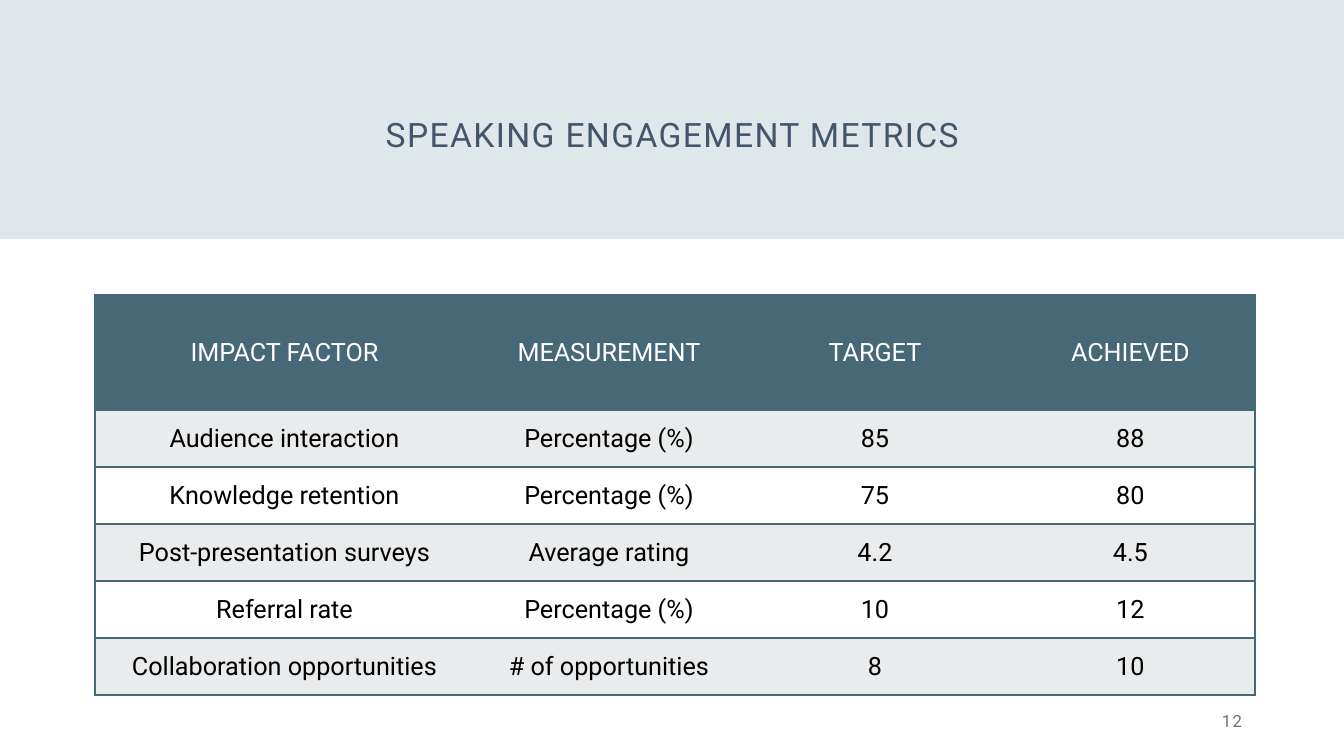
from dataclasses import dataclass

from lxml import etree
from pptx import Presentation
from pptx import util as u
from pptx.dml.color import RGBColor
from pptx.enum import shapes, text
from pptx.oxml.ns import qn

EMU_PER_PX = 914400 / 100.8
FONT = "Roboto"
COLORS = {
    "band": "D7E2E7", "title": "44546A", "teal": "476977", "stripe": "E9EBEC",
    "white": "FFFFFF", "black": "000000", "number": "767171",
}
HEADER = ("IMPACT FACTOR", "MEASUREMENT", "TARGET", "ACHIEVED")
METRICS = (
    ("Audience interaction", "Percentage (%)", "85", "88"),
    ("Knowledge retention", "Percentage (%)", "75", "80"),
    ("Post-presentation surveys", "Average rating", "4.2", "4.5"),
    ("Referral rate", "Percentage (%)", "10", "12"),
    ("Collaboration opportunities", "# of opportunities", "8", "10"),
)
COL_WIDTHS = (379, 270, 262, 249)
HEADER_HEIGHT, ROW_HEIGHT = 115, 57


@dataclass(frozen=True)
class Box:
    left: int
    top: int
    width: int
    height: int

    def emu(self) -> tuple:
        return tuple(px(n) for n in (self.left, self.top, self.width, self.height))


@dataclass(frozen=True)
class Label:
    words: str
    box: Box
    size: int
    color: str
    align: text.PP_ALIGN
    anchor: text.MSO_ANCHOR
    line_spacing: float = 1.0


LABELS = (
    Label("SPEAKING ENGAGEMENT METRICS", Box(93, 26, 1159, 134), 24, "title",
          text.PP_ALIGN.CENTER, text.MSO_ANCHOR.BOTTOM, 0.9),
    Label("12", Box(950, 701, 302, 40), 12, "number",
          text.PP_ALIGN.RIGHT, text.MSO_ANCHOR.MIDDLE),
)


def px(n: int) -> u.Emu:
    return u.Emu(round(n * EMU_PER_PX))


def rgb(name: str) -> RGBColor:
    return RGBColor.from_string(COLORS[name])


def write(tf, words: str, *, size: int, color: str, align=text.PP_ALIGN.CENTER,
          line_spacing: float = 1.0, tracking: int = 0) -> None:
    p = tf.paragraphs[0]
    p.alignment = align
    p.line_spacing = line_spacing
    r = p.add_run()
    r.text = words
    r.font.name, r.font.size = FONT, u.Pt(size)
    r.font.color.rgb = rgb(color)
    if tracking:
        r.font._element.set("spc", str(tracking * 100))


def add_label(s, label: Label) -> None:
    tf = s.shapes.add_textbox(*label.box.emu()).text_frame
    tf.word_wrap = True
    tf.vertical_anchor = label.anchor
    write(tf, label.words, size=label.size, color=label.color, align=label.align,
          line_spacing=label.line_spacing, tracking=1)


def add_band(s, box: Box) -> None:
    sp = s.shapes.add_shape(shapes.MSO_SHAPE.RECTANGLE, *box.emu())
    sp.shadow.inherit = False
    sp.line.fill.background()
    sp.fill.solid()
    sp.fill.fore_color.rgb = rgb("band")
    color = sp._element.spPr.find(qn("a:solidFill")).find(qn("a:srgbClr"))
    etree.SubElement(color, qn("a:alpha")).set("val", "80000")


def set_borders(cell, sides: dict[str, bool]) -> None:
    """Add cell borders ahead of the fill, as the schema orders them."""
    tc_pr = cell._tc.get_or_add_tcPr()
    for i, (side, visible) in enumerate(sides.items()):
        ln = etree.Element(qn(f"a:ln{side}"), w=str(u.Pt(1)))
        if visible:
            fill = etree.SubElement(ln, qn("a:solidFill"))
            etree.SubElement(fill, qn("a:srgbClr")).set("val", COLORS["teal"])
        else:
            etree.SubElement(ln, qn("a:noFill"))
        tc_pr.insert(i, ln)


def add_metrics_table(s, left: int, top: int) -> None:
    rows = (HEADER, *METRICS)
    heights = (HEADER_HEIGHT, *[ROW_HEIGHT] * len(METRICS))
    box = Box(left, top, sum(COL_WIDTHS), sum(heights))
    table = s.shapes.add_table(len(rows), len(HEADER), *box.emu()).table
    for col, width in zip(table.columns, COL_WIDTHS):
        col.width = px(width)
    for i, (row, height) in enumerate(zip(rows, heights)):
        table.rows[i].height = px(height)
        fill = "teal" if i == 0 else "stripe" if i % 2 else "white"
        for j, words in enumerate(row):
            cell = table.cell(i, j)
            cell.vertical_anchor = text.MSO_ANCHOR.MIDDLE
            cell.fill.solid()
            cell.fill.fore_color.rgb = rgb(fill)
            write(cell.text_frame, words, size=18, color="black" if i else "white")
            set_borders(cell, {"L": j == 0, "R": j == len(row) - 1, "T": True, "B": True})


def main() -> None:
    prs = Presentation()
    prs.slide_width, prs.slide_height = px(1344), px(756)
    s = prs.slides.add_slide(prs.slide_layouts[6])

    # Header band, metrics table, then title and page number
    add_band(s, Box(0, 0, 1344, 239))
    add_metrics_table(s, 95, 295)
    for label in LABELS:
        add_label(s, label)

    prs.save("out.pptx")


if __name__ == "__main__":
    main()
